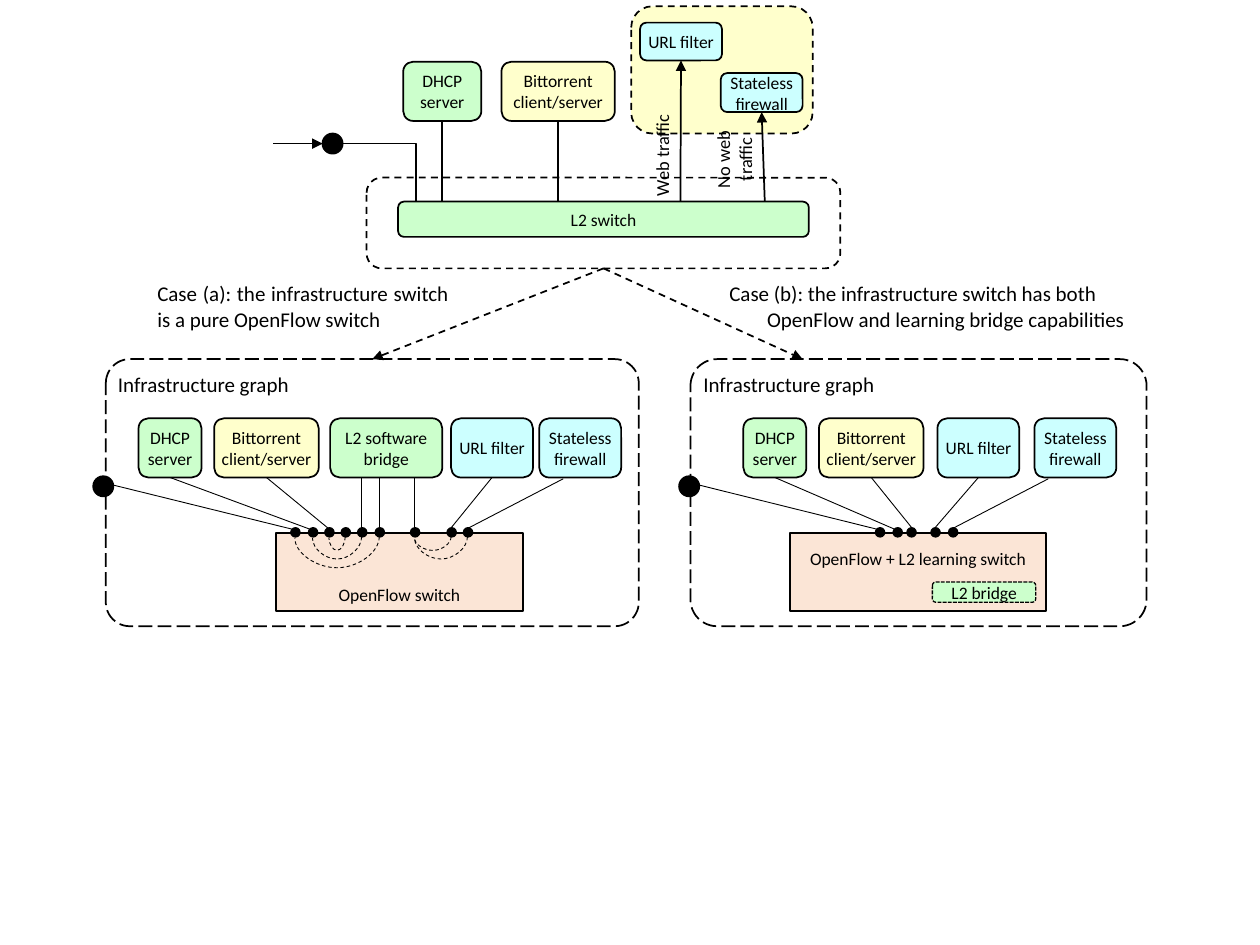
from lxml.etree import SubElement
from pptx import Presentation
from pptx.dml.color import RGBColor
from pptx.enum.dml import MSO_LINE
from pptx.enum.shapes import MSO_CONNECTOR, MSO_SHAPE
from pptx.enum.text import MSO_ANCHOR, MSO_AUTO_SIZE, PP_ALIGN
from pptx.oxml.ns import qn
from pptx.util import Pt

PX = 9144  # 100 px to the inch
BLACK, GREEN, YELLOW, BLUE, PEACH = "000000", "CCFFCC", "FFFFCC", "CCFFFF", "FBE5D6"
PORT_TOP, PORT_SIZE = 419, 7


def emu(*lengths):
    return [round(v * PX) for v in lengths]


def rgb(value):
    return RGBColor.from_string(value)


class Diagram:
    font = "Calibri"

    def __init__(self, s):
        self.s = s

    def add_text(self, tf, lines, size, align, indents=(0, 0)):
        for i, (text, indent) in enumerate(zip(lines, indents)):
            p = tf.paragraphs[0] if i == 0 else tf.add_paragraph()
            p.alignment = align
            if indent:
                p._p.get_or_add_pPr().set("marL", str(indent * PX))
            r = p.add_run()
            r.text = text
            r.font.size, r.font.name = Pt(size), self.font
            r.font.color.rgb = rgb(BLACK)

    def stroke(self, line, width, dash):
        line.color.rgb = rgb(BLACK)
        line.width = Pt(width)
        if dash:
            line.dash_style = dash

    def shape(self, box, fill=None, text=None, kind=MSO_SHAPE.ROUNDED_RECTANGLE,
              dash=None, width=1, adj=None, size=10, align=PP_ALIGN.CENTER,
              anchor=MSO_ANCHOR.MIDDLE, insets=(0, 0, 0, 0)):
        sp = self.s.shapes.add_shape(kind, *emu(*box))
        sp.shadow.inherit = False
        if fill:
            sp.fill.solid()
            sp.fill.fore_color.rgb = rgb(fill)
        else:
            sp.fill.background()
        self.stroke(sp.line, width, dash)
        if adj is not None:
            sp.adjustments[0] = adj
        if text:
            tf = sp.text_frame
            tf.word_wrap, tf.vertical_anchor = True, anchor
            tf.margin_left, tf.margin_top, tf.margin_right, tf.margin_bottom = emu(*insets)
            self.add_text(tf, [text], size, align)
        return sp

    def dot(self, x, y, size):
        self.shape((x, y, size, size), BLACK, kind=MSO_SHAPE.OVAL)

    def label(self, box, lines, size=12, align=PP_ALIGN.JUSTIFY, indents=(0, 0),
              rotation=0, wrap=True):
        sp = self.s.shapes.add_textbox(*emu(*box))
        sp.rotation = rotation
        tf = sp.text_frame
        tf.word_wrap, tf.auto_size = wrap, MSO_AUTO_SIZE.SHAPE_TO_FIT_TEXT
        self.add_text(tf, lines, size, align, indents)

    def connector(self, kind, ends, width, dash=None, adj=None):
        c = self.s.shapes.add_connector(kind, *emu(*ends))
        self.stroke(c.line, width, dash)
        spPr = c._element.spPr
        SubElement(spPr, qn("a:effectLst"))
        if adj is not None:
            guides = spPr.find(qn("a:prstGeom")).find(qn("a:avLst"))
            SubElement(guides, qn("a:gd"), name="adj1", fmla=f"val {round(adj * 100000)}")
        return c

    def line(self, begin, end, width=1, dash=None, arrow=False):
        """Each end is an (x, y) point or a (shape, side) pair."""
        points = [e if isinstance(e[0], int) else (0, 0) for e in (begin, end)]
        c = self.connector(MSO_CONNECTOR.STRAIGHT, points[0] + points[1], width, dash)
        if not isinstance(begin[0], int):
            c.begin_connect(*begin)
        if not isinstance(end[0], int):
            c.end_connect(*end)
        if arrow:
            ln = c._element.spPr.find(qn("a:ln"))
            SubElement(ln, qn("a:tailEnd"), type="triangle")

    def loop(self, left, right, y, depth):
        """Dashed U hanging below two points at height y."""
        mid, half = (left + right) / 2, (right - left) / 2
        c = self.connector(MSO_CONNECTOR.CURVE,
                           (mid - 0.5, y + 0.5 - half, mid + 0.5, y + 0.5 + half),
                           0.5, MSO_LINE.DASH, adj=depth)
        c._element.spPr.find(qn("a:xfrm")).set("rot", "5400000")

    def case(self, frame_box, adj, gateway_x, device_xs, firewall_link_x, ports):
        """Infrastructure graph: frame, devices, ports and links; returns the frame."""
        frame = self.shape(frame_box, text="Infrastructure graph", dash=MSO_LINE.LONG_DASH,
                           adj=adj, size=12, align=PP_ALIGN.JUSTIFY,
                           anchor=MSO_ANCHOR.TOP, insets=(4, 4, 4, 4))
        dhcp, torrent, url, _ = [
            self.shape((x, 332, w, 47), fill, text)
            for x, (w, fill, text) in zip(device_xs, DEVICES)]
        self.dot(gateway_x, 378, 16)
        for x in ports:
            self.dot(x, PORT_TOP, PORT_SIZE)
        starts = [(gateway_x + 16, 385), (dhcp, 2), (torrent, 2), (url, 2),
                  (firewall_link_x, 380)]
        offsets = [(1, 1), (1, 1), (7, 4), (3, 0), (4, 0)]
        for start, x, (dx, dy) in zip(starts, ports[:3] + ports[-2:], offsets):
            self.line(start, (x + dx, PORT_TOP + dy), 0.5)
        return frame


DEVICES = [(50, GREEN, "DHCP server"), (83, YELLOW, "Bittorrent client/server"),
           (65, BLUE, "URL filter"), (65, BLUE, "Stateless firewall")]


def service_graph(d):
    """Top graph; returns the dashed frame around the switch."""
    d.shape((501, 5, 144, 101), YELLOW, dash=MSO_LINE.DASH)
    url = d.shape((508, 18, 65, 30), BLUE, "URL filter")
    firewall = d.shape((572, 58, 65, 31), BLUE, "Stateless firewall")
    torrent = d.shape((398, 49, 90, 47), YELLOW, "Bittorrent client/server")
    dhcp = d.shape((320, 49, 62, 47), GREEN, "DHCP server")
    d.line((217, 114), (256, 114), arrow=True)
    d.dot(256, 106, 16)
    d.connector(MSO_CONNECTOR.ELBOW, (272, 114, 330, 160), 1, adj=1)
    for x, device, has_arrow in [(351, dhcp, False), (443, torrent, False),
                                 (540, url, True), (607, firewall, True)]:
        d.line((x, 160), (device, 2), arrow=has_arrow)
    d.shape((316, 160, 326, 28), GREEN, "L2 switch")
    d.label((481, 106, 90, 29), ["Web traffic"], 10.5, PP_ALIGN.LEFT, rotation=270, wrap=False)
    d.label((544, 104, 77, 45), ["No web traffic"], 10.5, PP_ALIGN.CENTER, rotation=270)
    return d.shape((291, 141, 376, 72), dash=MSO_LINE.DASH)


def main():
    prs = Presentation()
    prs.slide_width, prs.slide_height = emu(1000, 750)
    d = Diagram(prs.slides.add_slide(prs.slide_layouts[6]))
    switch_frame = service_graph(d)

    d.shape((219, 423, 196, 62), PEACH, "OpenFlow switch", MSO_SHAPE.RECTANGLE,
            anchor=MSO_ANCHOR.BOTTOM, insets=(10, 5, 10, 5))
    ports = [231, 245, 258, 271, 284, 298, 326, 355, 368]
    frame_a = d.case((84, 285, 423, 212), 0.09, 74, (110, 170, 358, 428), 447, ports)
    d.shape((262, 332, 89, 47), GREEN, "L2 software bridge")
    for x in ports[4:7]:
        d.line((x + 3, 379), (x + 3, PORT_TOP), 0.5)
    for left, right, depth in [(0, 5, 25), (1, 4, 18), (2, 3, 11), (6, 8, 18), (6, 7, 11)]:
        d.loop(ports[left] + 3, ports[right] + 3, PORT_TOP + PORT_SIZE, depth)

    d.shape((627, 423, 203, 62), PEACH, "OpenFlow + L2 learning switch", MSO_SHAPE.RECTANGLE,
            anchor=MSO_ANCHOR.TOP, insets=(10, 12, 10, 5))
    d.shape((740, 462, 82, 16), GREEN, "L2 bridge", dash=MSO_LINE.SQUARE_DOT, width=0.75)
    d.case((548, 285, 362, 212), 0.1, 539, (590, 650, 744, 821), 832,
           [695, 709, 720, 739, 753])

    for target in [(637, 285), (frame_a, 0)]:
        d.line((switch_frame, 2), target, dash=MSO_LINE.DASH, arrow=True)
    d.label((115, 218, 251, 50),
            ["Case (a): the infrastructure switch is a pure OpenFlow switch"])
    d.label((569, 218, 340, 50),
            ["Case (b): the infrastructure switch has both",
             "OpenFlow and learning bridge capabilities"], indents=(0, 30))
    prs.save("out.pptx")


if __name__ == "__main__":
    main()
